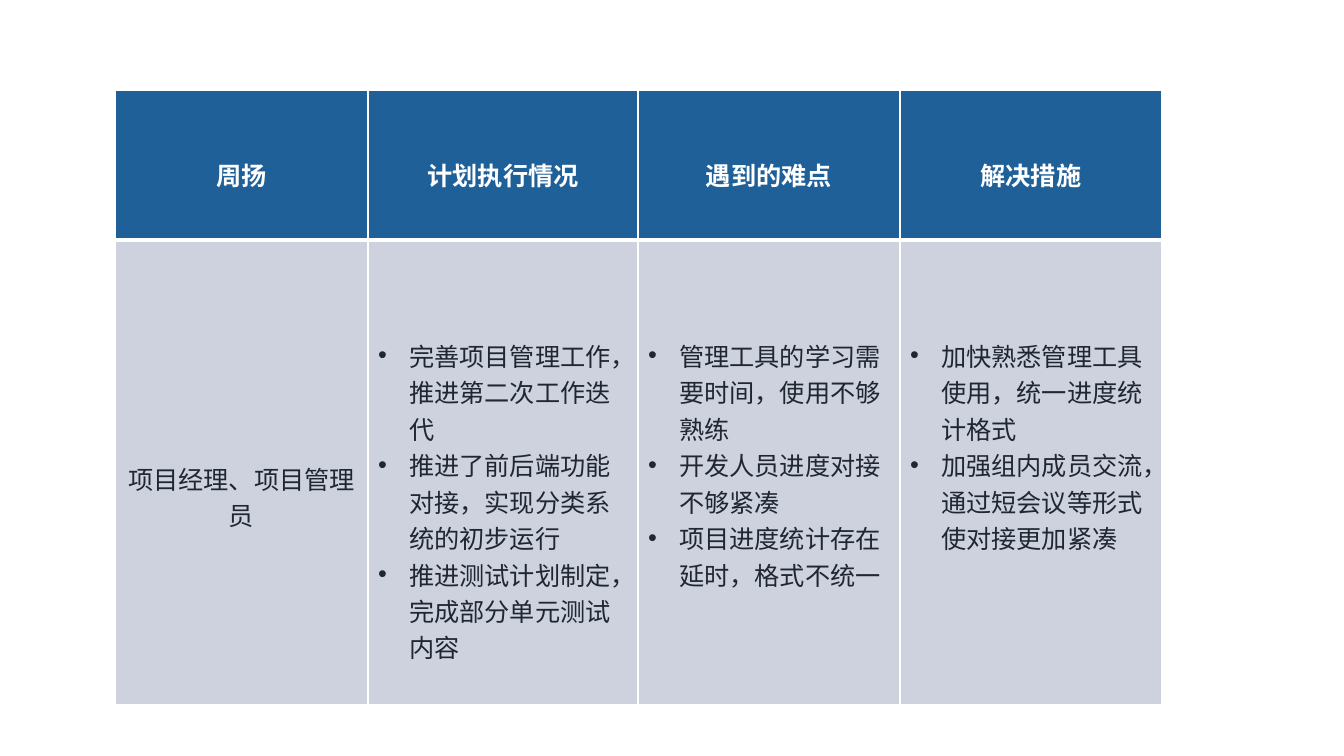
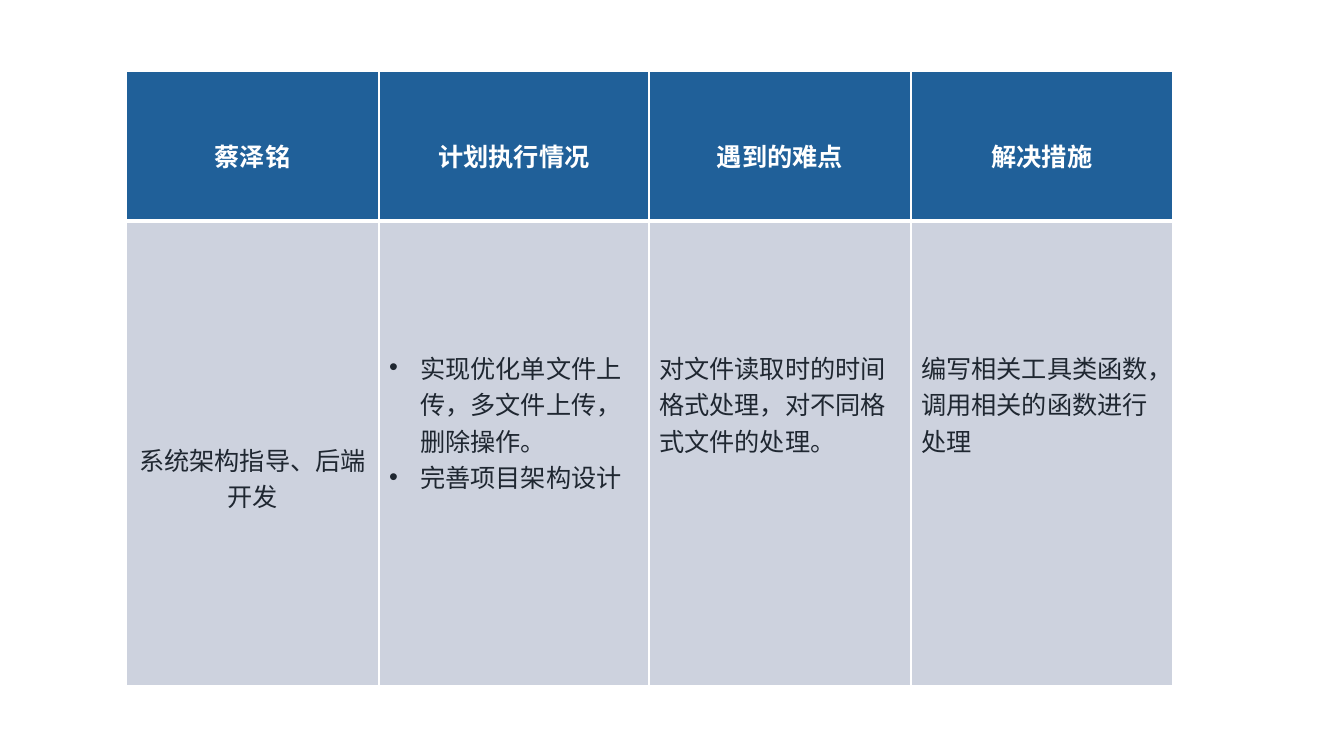
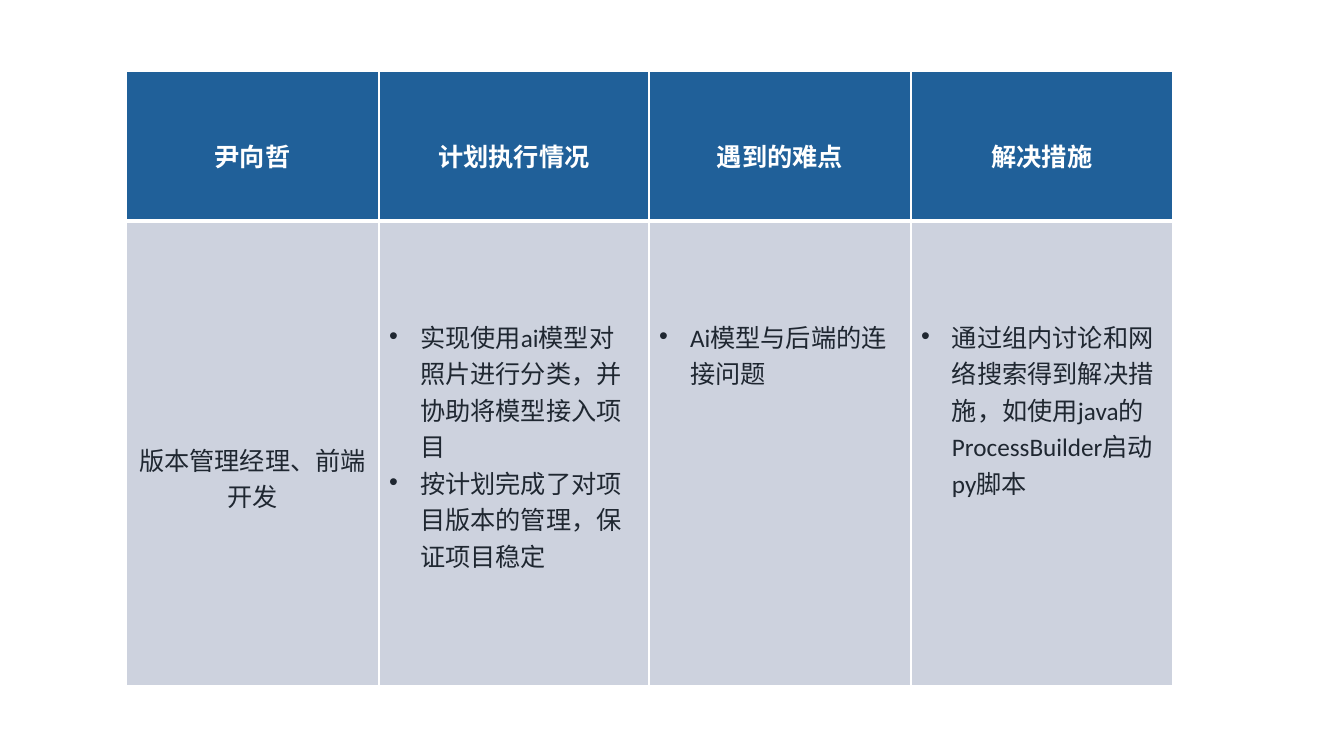
from lxml.etree import SubElement
from pptx import Presentation
from pptx.dml.color import RGBColor as Rgb
from pptx.enum.text import PP_ALIGN as Align
from pptx.oxml import parse_xml
from pptx.oxml.ns import nsdecls, qn
from pptx.util import Pt

UNIT = 914400 / 100.8
HUES = {"head": "206099", "body": "CDD2DE", "text": "1F2731", "line": "FFFFFF"}
FONTS = [
    {"name": "Calibri", "size": Pt(18), "bold": True},
    {"name": "Calibri", "size": Pt(18), "bold": False},
]
FILLS = ["head", "body"]
INKS = ["line", "text"]
COLS = [253, 270, 262, 262]
ROWS = [150, 465]
HEADS = ["计划执行情况", "遇到的难点", "解决措施"]
HEAD_TOP = 66
ROLE_TOP = 220
INDENT = 31

PAGES = [
    {
        "at": (115, 90), "name": "周扬", "role": "项目经理、项目管理员",
        "top": 97, "marks": [True, True, True],
        "lists": [
            ["完善项目管理工作，推进第二次工作迭代",
             "推进了前后端功能对接，实现分类系统的初步运行",
             "推进测试计划制定，完成部分单元测试内容"],
            ["管理工具的学习需要时间，使用不够熟练",
             "开发人员进度对接不够紧凑",
             "项目进度统计存在延时，格式不统一"],
            ["加快熟悉管理工具使用，统一进度统计格式",
             "加强组内成员交流，通过短会议等形式使对接更加紧凑"],
        ],
    },
    {
        "at": (126, 71), "name": "蔡泽铭", "role": "系统架构指导、后端开发",
        "top": 128, "marks": [True, False, False],
        "lists": [
            ["实现优化单文件上传，多文件上传，删除操作。", "完善项目架构设计"],
            ["对文件读取时的时间格式处理，对不同格式文件的处理。"],
            ["编写相关工具类函数，调用相关的函数进行处理"],
        ],
    },
    {
        "at": (126, 71), "name": "尹向哲", "role": "版本管理经理、前端开发",
        "top": 97, "marks": [True, True, True],
        "lists": [
            ["实现使用ai模型对照片进行分类，并协助将模型接入项目",
             "按计划完成了对项目版本的管理，保证项目稳定"],
            ["Ai模型与后端的连接问题"],
            ["通过组内讨论和网络搜索得到解决措施，如使用java的ProcessBuilder启动py脚本"],
        ],
    },
]


def px(n):
    return round(n * UNIT)


def write(cell, row, lines, top, mark, align):
    cell.margin_top = px(top)
    cell.fill.solid()
    cell.fill.fore_color.rgb = Rgb.from_string(HUES[FILLS[row]])
    edges = {"lnL": 1, "lnR": 1, "lnT": 1 if row == 0 else 3, "lnB": 3 if row == 0 else 1}
    for spot, (tag, width) in enumerate(edges.items()):
        cell._tc.get_or_add_tcPr().insert(spot, parse_xml(
            f'<a:{tag} {nsdecls("a")} w="{Pt(width)}"><a:solidFill>'
            f'<a:srgbClr val="{HUES["line"]}"/></a:solidFill></a:{tag}>'))
    frame = cell.text_frame
    for i, line in enumerate(lines):
        para = frame.add_paragraph() if i else frame.paragraphs[0]
        para.alignment = align
        run = para.add_run()
        run.text = line
        for key, value in FONTS[row].items():
            setattr(run.font, key, value)
        run.font.color.rgb = Rgb.from_string(HUES[INKS[row]])
        if mark:
            props = para._p.get_or_add_pPr()
            props.set("marL", str(px(INDENT)))
            props.set("indent", str(-px(INDENT)))
            SubElement(props, qn("a:buFont")).set("typeface", "Arial")
            SubElement(props, qn("a:buChar")).set("char", "•")


deck = Presentation()
deck.slide_width = px(1344)
deck.slide_height = px(756)

for page in PAGES:
    slide = deck.slides.add_slide(deck.slide_layouts[6])
    left, top = page["at"]
    size = px(sum(COLS)), px(sum(ROWS))
    table = slide.shapes.add_table(len(ROWS), len(COLS), px(left), px(top), *size).table
    table.horz_banding = False
    for col, width in zip(table.columns, COLS):
        col.width = px(width)
    for row, height in zip(table.rows, ROWS):
        row.height = px(height)
    for i, head in enumerate([page["name"], *HEADS]):
        write(table.cell(0, i), 0, [head], HEAD_TOP, False, Align.CENTER)
    write(table.cell(1, 0), 1, [page["role"]], ROLE_TOP, False, Align.CENTER)
    for i, (lines, mark) in enumerate(zip(page["lists"], page["marks"]), 1):
        write(table.cell(1, i), 1, lines, page["top"], mark, Align.LEFT)

deck.save("out.pptx")
